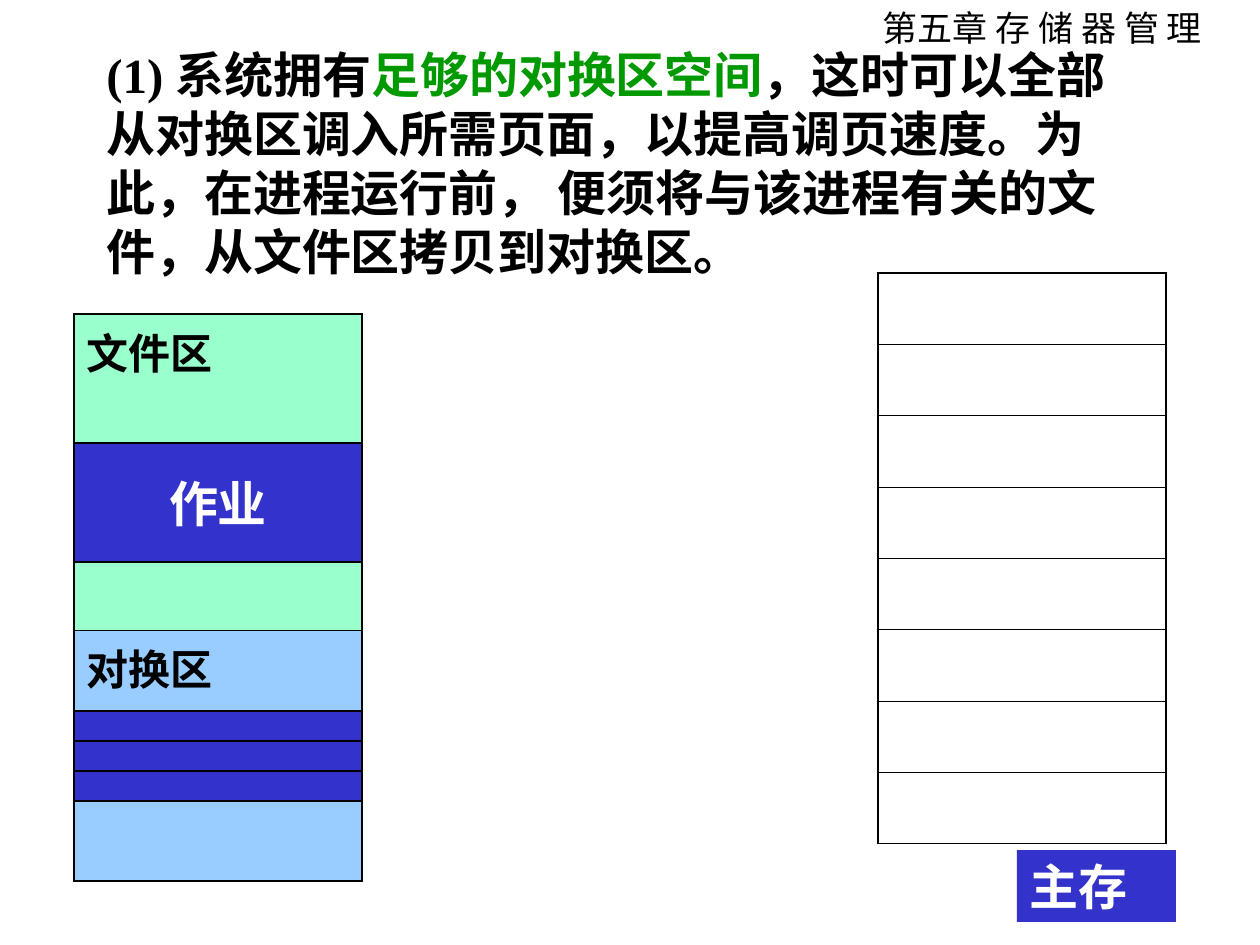
import pptx
import pptx.dml.color
import pptx.enum.shapes
import pptx.enum.text
import pptx.oxml
import pptx.oxml.ns
import pptx.util
from lxml import etree

PX = 914400 // 126
BLACK, WHITE, BLUE = "000000", "FFFFFF", "3333CC"
MINT, SKY, GREEN = "99FFCC", "99CCFF", "009900"
THICK, THIN = 1.08, 0.45
ANCHOR = pptx.enum.text.MSO_ANCHOR
CJK_FONT = "Noto Sans CJK SC"


def paint(target, color):
    """Give a fill or a font a solid colour from a hex string."""
    if hasattr(target, "solid"):
        target.solid()
        target = target.fore_color
    else:
        target = target.color
    target.rgb = pptx.dml.color.RGBColor.from_string(color)


def write(paragraph, parts, size, color, font="Times New Roman", bold=True):
    """Fill a paragraph with (text, colour or None) parts in one font."""
    paragraph.font.size = pptx.util.Pt(size)
    paragraph.font.name = font
    paragraph.font.bold = bold
    paint(paragraph.font, color)
    properties = paragraph._p.get_or_add_pPr()
    properties.set("hangingPunct", "0")
    defaults = properties.find(pptx.oxml.ns.qn("a:defRPr"))
    etree.SubElement(defaults, pptx.oxml.ns.qn("a:ea"), typeface=CJK_FONT)
    for text, part_color in parts:
        run = paragraph.add_run()
        run.text = text
        if part_color:
            paint(run.font, part_color)


presentation = pptx.Presentation()
presentation.slide_width = 1260 * PX
presentation.slide_height = 945 * PX
slide = presentation.slides.add_slide(presentation.slide_layouts[6])

# Chapter heading and main statement
heading = slide.shapes.add_textbox(870 * PX, 0, 353 * PX, 55 * PX)
heading.text_frame.word_wrap = False
write(heading.text_frame.paragraphs[0], [("第五章 存 储 器 管 理", None)],
      20, BLACK, CJK_FONT, False)

statement = slide.shapes.add_textbox(94 * PX, 84 * PX, 1071 * PX, 157 * PX)
statement.text_frame.word_wrap = True
statement.text_frame.vertical_anchor = ANCHOR.MIDDLE
write(statement.text_frame.paragraphs[0], [
    ("(1) 系统拥有", None),
    ("足够的对换区空间", GREEN),
    ("，这时可以全部从对换区调入所需页面，以提高调页速度。为此，在进程运行前， "
     "便须将与该进程有关的文件，从文件区拷贝到对换区。", None),
], 28, BLACK)

# Disk on the left, main memory on the right: (left, top, row heights, row labels and fills)
memory_row = 571 * PX // 8
tables = [
    (74, 314, [316 * PX, 251 * PX], [("文件区", MINT), ("对换区", SKY)]),
    (878, 273, [memory_row] * 8, [("", None)] * 8),
]
for left, top, heights, rows in tables:
    frame = slide.shapes.add_table(len(rows), 1, left * PX, top * PX, 288 * PX, sum(heights))
    table = frame.table
    table.first_row = table.horz_banding = False
    last = len(rows) - 1
    for index, (label, color) in enumerate(rows):
        table.rows[index].height = heights[index]
        cell = table.cell(index, 0)
        if label:
            write(cell.text_frame.paragraphs[0], [(label, None)], 24, BLACK)
        borders = {"lnL": THICK, "lnR": THICK,
                   "lnT": THICK if index == 0 else THIN,
                   "lnB": THICK if index == last else THIN}
        properties = cell._tc.get_or_add_tcPr()
        for side, width in borders.items():
            properties.append(pptx.oxml.parse_xml(
                f'<a:{side} {pptx.oxml.ns.nsdecls("a")} w="{pptx.util.Pt(width)}">'
                f'<a:solidFill><a:srgbClr val="{BLACK}"/></a:solidFill></a:{side}>'))
        if color:
            paint(cell.fill, color)
        else:
            cell.fill.background()

# The job, its three pages in the swap area, and the memory label
blocks = [(74, 443, 288, 119, "作业", True)]
blocks += [(74, 711 + 30 * page, 288, 30, "", True) for page in range(3)]
blocks += [(1017, 850, 159, 72, "主存", False)]
for left, top, width, height, label, outlined in blocks:
    shape = slide.shapes.add_shape(pptx.enum.shapes.MSO_SHAPE.RECTANGLE,
                                   left * PX, top * PX, width * PX, height * PX)
    shape.shadow.inherit = False
    paint(shape.fill, BLUE)
    if outlined:
        paint(shape.line.fill, BLACK)
        shape.line.width = pptx.util.Pt(0.75)
    else:
        shape.line.fill.background()
    if label:
        shape.text_frame.vertical_anchor = ANCHOR.MIDDLE
        paragraph = shape.text_frame.paragraphs[0]
        paragraph.alignment = (pptx.enum.text.PP_ALIGN.CENTER if outlined
                               else pptx.enum.text.PP_ALIGN.LEFT)
        write(paragraph, [(label, None)], 28, WHITE)

presentation.save("out.pptx")
